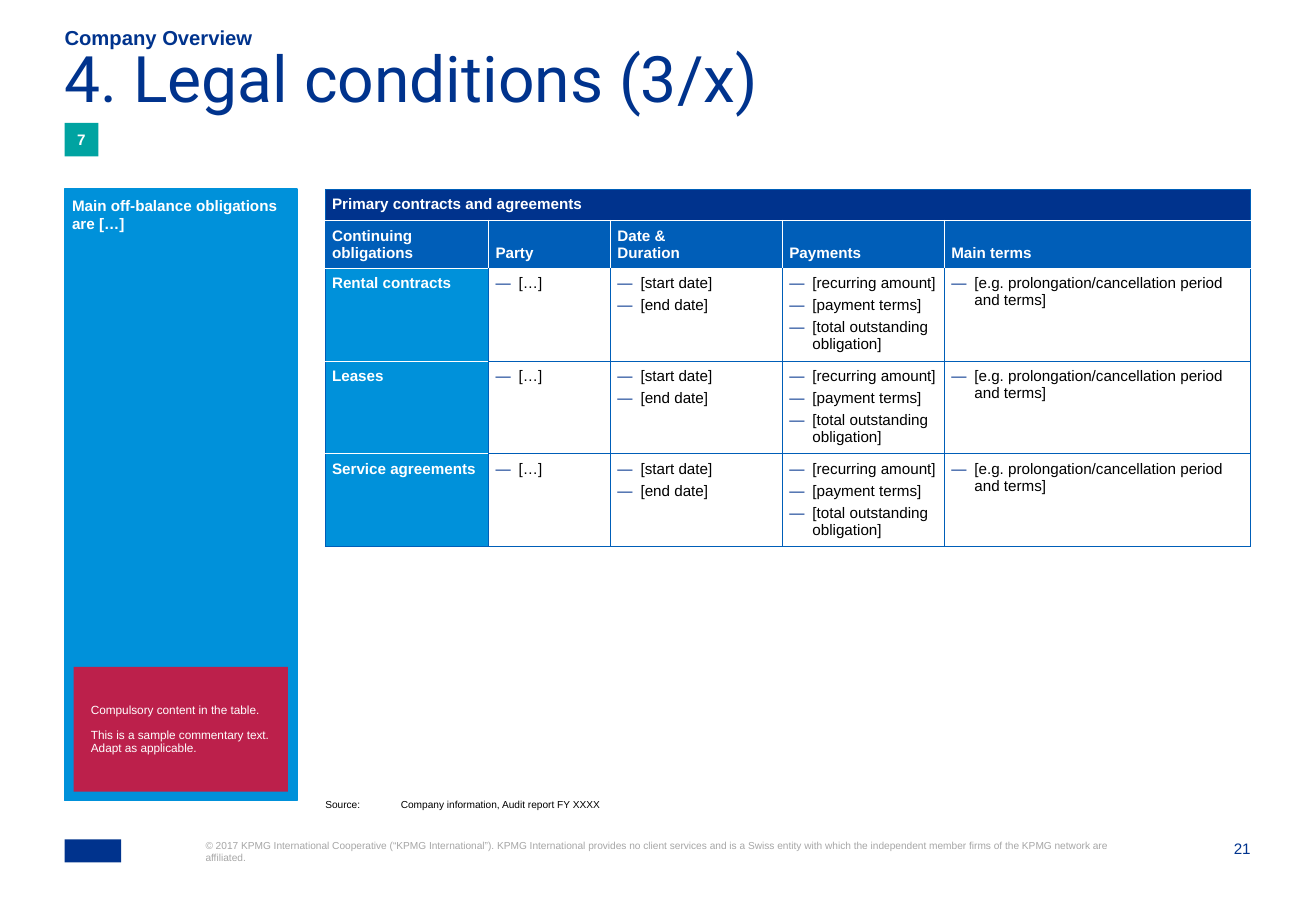
from dataclasses import dataclass

from lxml import etree
from pptx import Presentation
from pptx.dml.color import RGBColor
from pptx.enum.shapes import MSO_SHAPE
from pptx.enum.text import MSO_ANCHOR, MSO_AUTO_SIZE, PP_ALIGN
from pptx.oxml.ns import qn
from pptx.util import Pt

RECTANGLE = MSO_SHAPE.RECTANGLE
TOP, MIDDLE, BOTTOM = MSO_ANCHOR.TOP, MSO_ANCHOR.MIDDLE, MSO_ANCHOR.BOTTOM
LEFT, CENTER, RIGHT = PP_ALIGN.LEFT, PP_ALIGN.CENTER, PP_ALIGN.RIGHT
NO_AUTOSIZE = MSO_AUTO_SIZE.NONE
TITLE_ONLY = 5


@dataclass(frozen=True)
class Theme:
    navy: str = "00338D"
    blue: str = "005EB8"
    sky: str = "0091DA"
    teal: str = "00A3A1"
    red: str = "BC204B"
    gray: str = "A6A6A6"
    white: str = "FFFFFF"
    black: str = "000000"
    body_font: str = "Arial"
    title_font: str = "Roboto"
    title_size: float = 38
    section_size: float = 12
    body_size: float = 9
    note_size: float = 7
    small_size: float = 6


THEME = Theme()

TABLE_TITLE = "Primary contracts and agreements"
HEADERS = [["Continuing obligations"], ["Party"], ["Date &", "Duration"],
           ["Payments"], ["Main terms"]]
CONTRACTS = ["Rental contracts", "Leases", "Service agreements"]
CONTRACT_DETAILS = [
    ["[…]"],
    ["[start date]", "[end date]"],
    ["[recurring amount]", "[payment terms]", "[total outstanding obligation]"],
    ["[e.g. prolongation/cancellation period and terms]"],
]
COLUMN_WIDTHS = [96.9, 72.3, 101.9, 96, 181.4]
ROW_HEIGHTS = [18.4, 28.4] + [55.1] * len(CONTRACTS)
COPYRIGHT = (
    "© 2017 KPMG International Cooperative (“KPMG International”). KPMG International "
    "provides no client services and is a Swiss entity with which the independent "
    "member firms of the KPMG network are affiliated.")


# Text and shape helpers
def add_dash(paragraph, indent=13.7):
    properties = paragraph._p.get_or_add_pPr()
    properties.set("marL", str(Pt(indent)))
    properties.set("indent", str(-Pt(indent)))
    color = etree.SubElement(properties, qn("a:buClr"))
    etree.SubElement(color, qn("a:srgbClr"), val=THEME.navy)
    etree.SubElement(properties, qn("a:buFont"), typeface=THEME.body_font)
    etree.SubElement(properties, qn("a:buChar"), char="—")


def write(frame, lines, size, color, bold=False, font=THEME.body_font, align=LEFT,
          spacing=None, gaps=None, dashed=False):
    for index, line in enumerate(lines):
        paragraph = frame.add_paragraph() if index else frame.paragraphs[0]
        paragraph.alignment = align
        if spacing:
            paragraph.line_spacing = spacing
        if gaps and index:
            paragraph.space_before = Pt(gaps[index])
        if dashed:
            add_dash(paragraph)
        run = paragraph.add_run()
        run.text = line
        run.font.name = font
        run.font.size = Pt(size)
        run.font.bold = bold
        run.font.color.rgb = RGBColor.from_string(color)


def set_frame(frame, anchor=TOP, inset=0):
    frame.word_wrap = True
    frame.auto_size = NO_AUTOSIZE
    frame.vertical_anchor = anchor
    frame.margin_left = frame.margin_right = Pt(inset)
    frame.margin_top = frame.margin_bottom = Pt(inset)
    return frame


def add_text(slide, box, lines, size, color, anchor=TOP, **style):
    shape = slide.shapes.add_textbox(*map(Pt, box))
    write(set_frame(shape.text_frame, anchor), lines, size, color, **style)
    return shape


def add_box(slide, box, fill):
    shape = slide.shapes.add_shape(RECTANGLE, *map(Pt, box))
    shape.shadow.inherit = False
    shape.fill.solid()
    shape.fill.fore_color.rgb = RGBColor.from_string(fill)
    shape.line.fill.background()
    return shape


# Heading: section, title and number badge
def add_heading(slide, left, top, width):
    title = slide.shapes.title
    title.left, title.top, title.width, title.height = map(
        Pt, (left, top + 19.4, width, 56.9))
    write(set_frame(title.text_frame), ["4. Legal conditions (3/x)"], THEME.title_size,
          THEME.navy, font=THEME.title_font, spacing=0.7)
    add_text(slide, (left, top, width, 13.7), ["Company Overview"], THEME.section_size,
             THEME.navy, anchor=BOTTOM, bold=True)
    badge = add_box(slide, (left, top + 56.9, 20, 20), THEME.teal)
    write(set_frame(badge.text_frame, MIDDLE), ["7"], THEME.body_size, THEME.white,
          bold=True, align=CENTER)


# Commentary panel with a note at its foot
def add_commentary(slide, left, top, width, height):
    panel = add_box(slide, (left, top, width, height), THEME.sky)
    panel.line.color.rgb = RGBColor.from_string(THEME.sky)
    panel.line.width = Pt(0.75)
    write(set_frame(panel.text_frame, TOP, 4.4), ["Main off-balance obligations are […]"],
          THEME.body_size, THEME.white, bold=True)
    margin, note_height = 5.4, 74
    note = add_box(slide, (left + margin, top + height - margin - note_height,
                           width - 2 * margin, note_height), THEME.red)
    frame = set_frame(note.text_frame, MIDDLE, 4.4)
    frame.margin_left = Pt(10.2)
    write(frame, ["Compulsory content in the table.", "This is a sample commentary text.",
                  "Adapt as applicable."],
          THEME.note_size, THEME.white, spacing=0.9, gaps=[0, 7.4, 0])


# Contracts table
def row_line(line, column):
    inside = 0 < line < len(ROW_HEIGHTS)
    return THEME.white if inside and (line <= 2 or column == 0) else THEME.blue


def column_line(line, row):
    return THEME.white if row == 1 and 0 < line < len(COLUMN_WIDTHS) else THEME.blue


def set_borders(cell, row, column):
    properties = cell._tc.get_or_add_tcPr()
    colors = {"lnL": column_line(column, row), "lnR": column_line(column + 1, row),
              "lnT": row_line(row, column), "lnB": row_line(row + 1, column)}
    for side, color in colors.items():
        line = etree.SubElement(properties, qn("a:" + side), w=str(Pt(0.5)))
        fill = etree.SubElement(line, qn("a:solidFill"))
        etree.SubElement(fill, qn("a:srgbClr"), val=color)


def fill_cell(cell, row, column, lines):
    detail = row > 1 and column > 0
    if row < 2:
        fill, anchor = ((THEME.navy, MIDDLE), (THEME.blue, BOTTOM))[row]
    else:
        fill, anchor = (THEME.white if detail else THEME.sky), TOP
    set_borders(cell, row, column)
    cell.fill.solid()
    cell.fill.fore_color.rgb = RGBColor.from_string(fill)
    cell.vertical_anchor = anchor
    cell.margin_left = cell.margin_right = cell.margin_top = cell.margin_bottom = Pt(4)
    write(cell.text_frame, lines, THEME.body_size, THEME.black if detail else THEME.white,
          bold=not detail, gaps=[3] * len(lines) if detail else None, dashed=detail)


def add_contracts_table(slide, left, top):
    rows = [[[TABLE_TITLE], [], [], [], []], HEADERS]
    rows += [[[contract]] + CONTRACT_DETAILS for contract in CONTRACTS]
    box = (left, top, sum(COLUMN_WIDTHS), sum(ROW_HEIGHTS))
    table = slide.shapes.add_table(len(rows), len(COLUMN_WIDTHS), *map(Pt, box)).table
    table.first_row = table.horz_banding = False
    for column, width in zip(table.columns, COLUMN_WIDTHS):
        column.width = Pt(width)
    for row, height in zip(table.rows, ROW_HEIGHTS):
        row.height = Pt(height)
    table.cell(0, 0).merge(table.cell(0, len(COLUMN_WIDTHS) - 1))
    for row, cells in enumerate(rows):
        for column, lines in enumerate(cells):
            fill_cell(table.cell(row, column), row, column, lines)


# Source line
def add_source(slide, left, top):
    shape = add_text(slide, (left, top, 288, 6.5),
                     ["Source: \tCompany information, Audit report FY XXXX"],
                     THEME.small_size, THEME.black, spacing=0.9)
    properties = shape.text_frame.paragraphs[0]._p.get_or_add_pPr()
    properties.set("marL", str(Pt(44.8)))
    properties.set("indent", str(-Pt(44.8)))


# Footer: emblem block, copyright and page number
def add_footer(slide, left, top, width):
    add_box(slide, (left, top, 33.5, 13.7), THEME.navy)
    add_text(slide, (left + 83.5, top, 539.3, 29.5), [COPYRIGHT], THEME.small_size,
             THEME.gray)
    add_text(slide, (left + width - 31, top, 31, 11.5), ["21"], THEME.body_size,
             THEME.navy, align=RIGHT)


def main():
    presentation = Presentation()
    presentation.slide_width, presentation.slide_height = Pt(780), Pt(540)
    slide = presentation.slides.add_slide(presentation.slide_layouts[TITLE_ONLY])
    left, width, content_top, table_left = 38.3, 703, 112.1, 192.8
    add_heading(slide, left, 15.9, width)
    add_commentary(slide, left, content_top, 137.8, 362.6)
    add_contracts_table(slide, table_left, content_top)
    add_source(slide, table_left, 474.3)
    add_footer(slide, left, 497.5, width)
    presentation.save("out.pptx")


if __name__ == "__main__":
    main()
